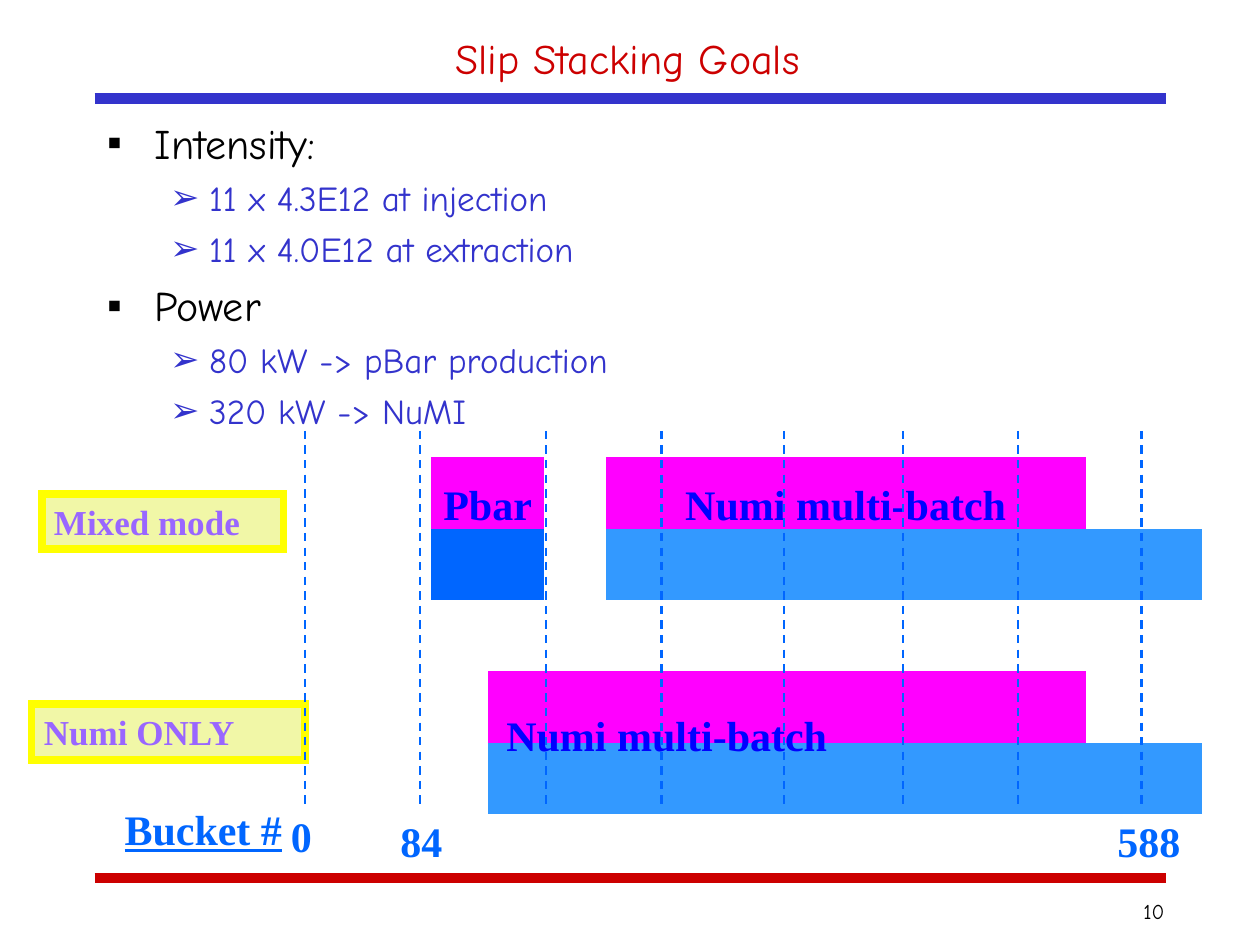
from dataclasses import dataclass

from lxml import etree
from pptx import Presentation
from pptx.dml.color import RGBColor
from pptx.enum import dml, shapes, text
from pptx.oxml import ns
from pptx.util import Inches, Pt


@dataclass(frozen=True)
class Theme:
    black: str = "000000"
    red: str = "CC0000"
    indigo: str = "3333CC"
    magenta: str = "FF00FF"
    blue: str = "0066FF"
    sky: str = "3399FF"
    label_blue: str = "0000FF"
    violet: str = "9966FF"
    yellow: str = "FFFF00"
    cream: str = "F1F7A7"
    hand_font: str = "Comic Neue"
    serif_font: str = "Times New Roman"
    large: int = 24
    medium: int = 20
    small: int = 12


theme = Theme()


def write(frame, words, font, size, color, bold=False, align=text.PP_ALIGN.LEFT):
    """Put one formatted paragraph into a text frame and return it."""
    frame.text = words
    para = frame.paragraphs[0]
    para.alignment = align
    span = para.runs[0]
    span.font.name = font
    span.font.size = Pt(size)
    span.font.bold = bold
    span.font.color.rgb = RGBColor.from_string(color)
    return para


def draw_line(x1, y1, x2, y2, color, width):
    line = slide.shapes.add_connector(
        shapes.MSO_CONNECTOR.STRAIGHT, Inches(x1), Inches(y1), Inches(x2), Inches(y2))
    line.line.color.rgb = RGBColor.from_string(color)
    line.line.width = Pt(width)
    etree.SubElement(line._element.spPr, ns.qn("a:effectLst"))
    return line


deck = Presentation()
deck.slide_width, deck.slide_height = Inches(10), Inches(7.5)
slide = deck.slides.add_slide(deck.slide_layouts[1])

# Header and footer rules
for y, color in ((6.97, theme.red), (0.78, theme.indigo)):
    draw_line(0.75, y, 9.25, y, color, 6)

# Title
title = slide.shapes.title
title.left, title.top = Inches(0.44), Inches(0.17)
title.width, title.height = Inches(9.08), Inches(0.58)
title.text_frame.auto_size = text.MSO_AUTO_SIZE.NONE
title.text_frame.vertical_anchor = text.MSO_ANCHOR.MIDDLE
write(title.text_frame, "Slip Stacking Goals", theme.hand_font, theme.large,
      theme.red, align=text.PP_ALIGN.CENTER)

# Goals: level, wording
goals = (
    (0, "Intensity:"),
    (1, "11 x 4.3E12 at injection"),
    (1, "11 x 4.0E12 at extraction"),
    (0, "Power"),
    (1, "80 kW -> pBar production"),
    (1, "320 kW -> NuMI"),
)
# Per level: bullet, left margin, hanging indent, space before, size, colour
levels = (
    ("▪", 0.38, 0.38, 6, theme.large, theme.black),
    ("➢", 0.81, 0.31, 5, theme.medium, theme.indigo),
)
body = slide.placeholders[1]
body.left, body.top = Inches(0.75), Inches(0.88)
body.width, body.height = Inches(8.5), Inches(5.96)
body.text_frame.auto_size = text.MSO_AUTO_SIZE.NONE
body.text_frame.text = "\n".join(words for _, words in goals)
for index, (para, (level, _)) in enumerate(zip(body.text_frame.paragraphs, goals)):
    bullet, margin, hanging, before, size, color = levels[level]
    para.level = level
    para.space_before = Pt(before if index else 0)
    properties = para._p.get_or_add_pPr()
    properties.set("marL", str(Inches(margin)))
    properties.set("indent", str(-Inches(hanging)))
    bullet_color = etree.SubElement(properties, ns.qn("a:buClr"))
    etree.SubElement(bullet_color, ns.qn("a:srgbClr"), val=color)
    etree.SubElement(properties, ns.qn("a:buChar"), char=bullet)
    font = para.runs[0].font
    font.name = theme.hand_font
    font.size = Pt(size)
    font.color.rgb = RGBColor.from_string(color)

# Batch timeline: each entry is a fill key and the number of columns it spans
fills = {"M": theme.magenta, "B": theme.blue, "S": theme.sky}
column_widths = [0.45, 0.45, 0.49, 0.59, 0.2] + [0.24] * 3 + [0.92] * 2 + [0.46] * 4
batch_rows = (
    "M2 -1 M3 M2 M1 M1 M1 -1 -2",
    "B2 -1 S2 S1 S2 S1 S1 S2 S1 -1",
    "-2 -4 -2 -1 -1 -2 -2",
    "-1 M1 M1 M1 M2 M1 M1 M1 M1 M1 -1 -1 -1",
    "-1 S1 S1 S1 S2 S2 S1 S1 S2 S1 -1",
)
table_frame = slide.shapes.add_table(
    len(batch_rows), len(column_widths),
    Inches(3.42), Inches(3.63), Inches(6.58), Inches(2.83))
table = table_frame.table
table.first_row = table.horz_banding = False
style = table._tbl.tblPr.find(ns.qn("a:tableStyleId"))
style.text = "{2D5ABB26-0587-4C30-8999-92F81FD0307C}"  # no style, no grid
for column, width in zip(table.columns, column_widths):
    column.width = Inches(width)
for row, entries in enumerate(batch_rows):
    table.rows[row].height = Inches(2.83 / len(batch_rows))
    start = 0
    for key, count in entries.split():
        end = start + int(count)
        cell = table.cell(row, start)
        if end - start > 1:
            cell.merge(table.cell(row, end - 1))
        if key in fills:
            cell.fill.solid()
            cell.fill.fore_color.rgb = RGBColor.from_string(fills[key])
        else:
            cell.fill.background()
        start = end

# Mode boxes
for words, left, top, width in (
    ("Numi ONLY", 0.25, 5.59, 2.17),
    ("Mixed mode", 0.33, 3.92, 1.92),
):
    box = slide.shapes.add_shape(
        shapes.MSO_SHAPE.RECTANGLE, Inches(left), Inches(top), Inches(width), Inches(0.44))
    box.shadow.inherit = False
    box.fill.solid()
    box.fill.fore_color.rgb = RGBColor.from_string(theme.cream)
    box.line.color.rgb = RGBColor.from_string(theme.yellow)
    box.line.width = Pt(4.5)
    outline = box._element.spPr.find(ns.qn("a:ln"))
    etree.SubElement(outline, ns.qn("a:miter"), lim="800000")
    box.text_frame.word_wrap = True
    box.text_frame.vertical_anchor = text.MSO_ANCHOR.TOP
    write(box.text_frame, words, theme.serif_font, theme.medium, theme.violet, bold=True)

# Bucket and batch labels
for words, left, top, width, color in (
    ("0", 2.21, 6.38, 0.36, theme.blue),
    ("84", 3.08, 6.42, 0.53, theme.blue),
    ("588", 8.77, 6.42, 0.7, theme.blue),
    ("Bucket #", 0.89, 6.33, 1.45, theme.blue),
    ("Numi multi-batch", 3.92, 5.58, 2.76, theme.label_blue),
    ("Pbar", 3.42, 3.75, 0.92, theme.label_blue),
    ("Numi multi-batch", 5.34, 3.75, 2.76, theme.label_blue),
):
    label = slide.shapes.add_textbox(Inches(left), Inches(top), Inches(width), Inches(0.5))
    label.text_frame.word_wrap = False
    label.text_frame.auto_size = text.MSO_AUTO_SIZE.SHAPE_TO_FIT_TEXT
    para = write(label.text_frame, words, theme.serif_font, theme.large, color, bold=True)
    para.runs[0].font.underline = words == "Bucket #"

# Batch boundaries
for x in (2.42, 3.33, 4.33, 5.25, 6.22, 7.17, 8.08, 9.06):
    boundary = draw_line(x, 3.42, x, 6.42, theme.blue, 1.2)
    boundary.line.dash_style = dml.MSO_LINE.DASH

# Page number
number = slide.shapes.add_textbox(Inches(8.42), Inches(7.08), Inches(0.92), Inches(0.42))
number.text_frame.word_wrap = True
write(number.text_frame, "10", theme.hand_font, theme.small, theme.black,
      align=text.PP_ALIGN.RIGHT)

deck.save("out.pptx")
